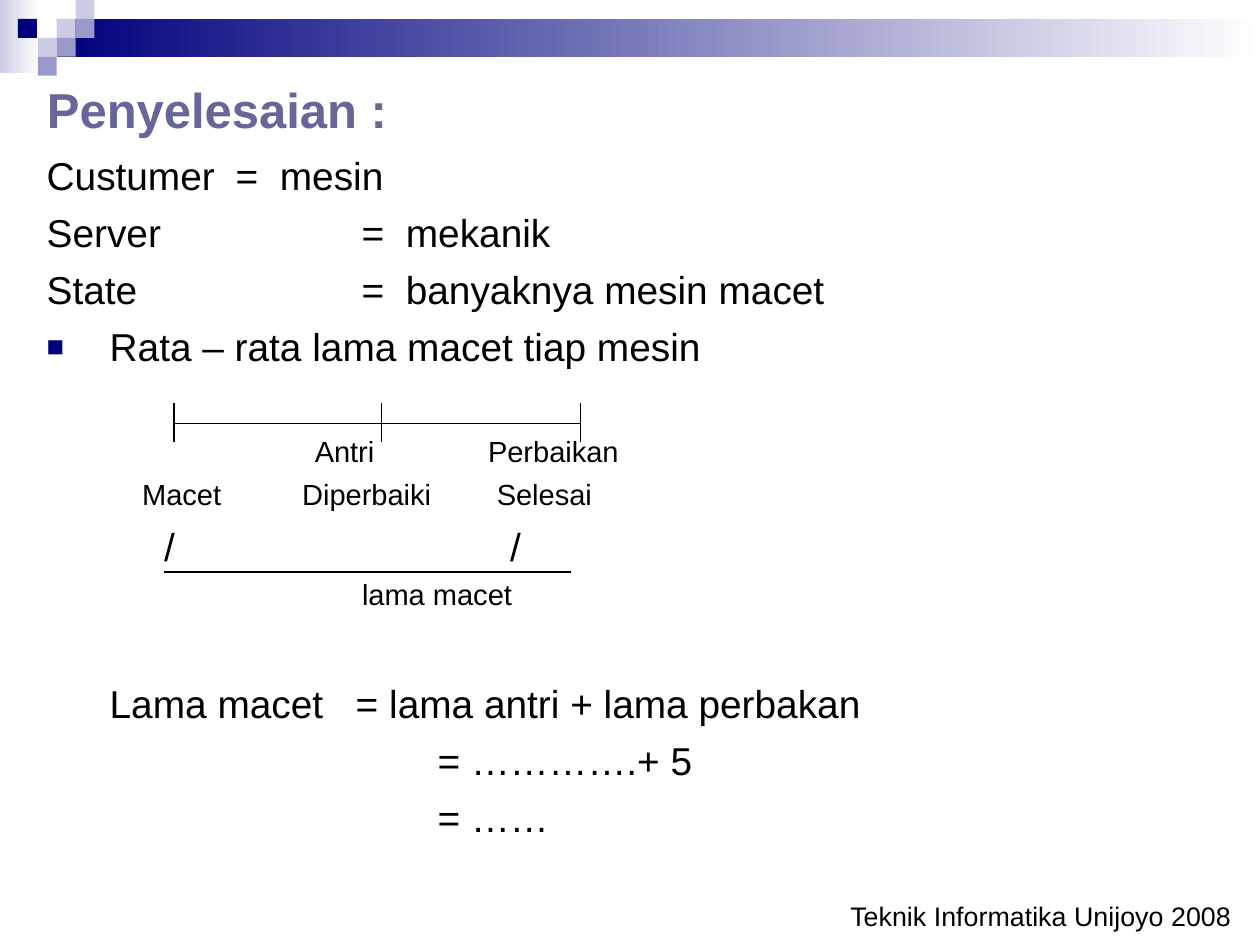
from dataclasses import dataclass

from lxml import etree
from pptx import Presentation
from pptx import util as u
from pptx.dml.color import RGBColor
from pptx.enum import shapes, text
from pptx.oxml.ns import qn


@dataclass(frozen=True)
class Theme:
    font: str = "Arial"
    ink: str = "000000"
    heading: str = "666699"
    navy: str = "00007D"
    violet: str = "9999CC"
    lilac: str = "CCCCE6"
    paper: str = "FFFFFF"
    title_size: float = 28
    body_size: float = 22.2
    label_size: float = 16.6
    footer_size: float = 15.3
    line_width: float = 0.74
    gap: float = 6


THEME = Theme()
COLUMNS, ROWS = 200, 150
UNIT = u.Inches(10) // COLUMNS


def grid(*lengths):
    """Turn grid columns or rows into slide lengths."""
    return [u.Emu(round(length * UNIT)) for length in lengths]


def write(paragraph, content, size=THEME.body_size, color=THEME.ink, bold=False,
          before=0, align=text.PP_ALIGN.LEFT, indent=0, bullet=None):
    """Fill a paragraph; indent is in grid columns, and hangs with a bullet."""
    run = paragraph.add_run()
    run.text = content
    run.font.name, run.font.size, run.font.bold = THEME.font, u.Pt(size), bold
    run.font.color.rgb = RGBColor.from_string(color)
    paragraph.alignment = align
    paragraph.space_before = u.Pt(before)
    properties = paragraph._p.get_or_add_pPr()
    margin = grid(indent)[0]
    properties.set("marL", str(margin))
    properties.set("indent", str(-margin if bullet else 0))
    if bullet:
        bullet_color = etree.SubElement(properties, qn("a:buClr"))
        etree.SubElement(bullet_color, qn("a:srgbClr"), val=THEME.navy)
        etree.SubElement(properties, qn("a:buSzPct"), val="75000")
        etree.SubElement(properties, qn("a:buFont"), typeface=THEME.font)
        etree.SubElement(properties, qn("a:buChar"), char=bullet)


class SlideBuilder:
    def __init__(self, presentation, theme):
        self.theme = theme
        self.slide = presentation.slides.add_slide(presentation.slide_layouts[5])

    def title(self, content, left, top, width, height):
        shape = self.slide.shapes.title
        shape.left, shape.top, shape.width, shape.height = grid(left, top, width, height)
        shape.text_frame.vertical_anchor = text.MSO_ANCHOR.MIDDLE
        shape.text_frame.auto_size = text.MSO_AUTO_SIZE.NONE
        write(shape.text_frame.paragraphs[0], content, self.theme.title_size,
              color=self.theme.heading, bold=True)

    def block(self, left, top, width, height, color, fade_to=None):
        shape = self.slide.shapes.add_shape(
            shapes.MSO_SHAPE.RECTANGLE, *grid(left, top, width, height))
        shape.shadow.inherit = False
        shape.line.fill.background()
        if fade_to:
            shape.fill.gradient()
            shape.fill.gradient_angle = 0
            for stop, stop_color in zip(shape.fill.gradient_stops, (color, fade_to)):
                stop.color.rgb = RGBColor.from_string(stop_color)
        else:
            shape.fill.solid()
            shape.fill.fore_color.rgb = RGBColor.from_string(color)

    def text_box(self, left, top, width, height, *lines):
        """Each line is a pair of its wording and its format."""
        frame = self.slide.shapes.add_textbox(*grid(left, top, width, height)).text_frame
        frame.word_wrap = True
        for index, (content, style) in enumerate(lines):
            paragraph = frame.add_paragraph() if index else frame.paragraphs[0]
            write(paragraph, content, before=self.theme.gap if index else 0, **style)

    def line(self, x1, y1, x2, y2):
        connector = self.slide.shapes.add_connector(
            shapes.MSO_CONNECTOR.STRAIGHT, *grid(x1, y1, x2, y2))
        connector.line.color.rgb = RGBColor.from_string(self.theme.ink)
        connector.line.width = u.Pt(self.theme.line_width)
        etree.SubElement(connector._element.spPr, qn("a:effectLst"))


presentation = Presentation()
presentation.slide_width, presentation.slide_height = grid(COLUMNS, ROWS)
builder = SlideBuilder(presentation, THEME)

# Header band and mosaic of small squares
builder.block(0, 0, 6.2, 11.6, THEME.lilac, fade_to=THEME.paper)
builder.block(9, 3, 191, 6, THEME.navy, fade_to=THEME.paper)
SQUARE = 3
mosaic = [(3, 1, THEME.lilac), (4, 0, THEME.lilac), (4, 1, THEME.violet),
          (2, 2, THEME.lilac), (0.95, 1, THEME.navy), (3, 2, THEME.violet),
          (2, 3, THEME.violet)]
for column, row, color in mosaic:
    builder.block(column * SQUARE, row * SQUARE, SQUARE, SQUARE, color)

# Title and footer
builder.title("Penyelesaian :", 5.45, 11.6, 180, 11.4)
builder.text_box(57.4, 141.8, 140, 7.2, (
    "Teknik Informatika Unijoyo 2008",
    dict(size=THEME.footer_size, align=text.PP_ALIGN.RIGHT)))

# Terms and their meanings
builder.text_box(5.45, 23.1, 120, 38,
                 ("Custumer", {}), ("Server", {}), ("State", {}),
                 ("Rata – rata lama macet tiap mesin", dict(indent=10, bullet="■")))
builder.text_box(35.45, 23.1, 130, 29,
                 ("=  mesin", {}),
                 ("=  mekanik", dict(indent=20)),
                 ("=  banyaknya mesin macet", dict(indent=20)))

# Timeline with its ticks, and the span of the downtime
START, REPAIR, END = 27.6, 60.6, 92.2
builder.line(START, 67.2, END, 67.2)
for tick in (START, REPAIR, END):
    builder.line(tick, 64, tick, 70.2)
builder.line(26, 90.8, 90.6, 90.8)

# Labels of the timeline
SMALL, LARGE = dict(size=THEME.label_size), {}
labels = [("Antri", 48, 67.9, SMALL), ("Perbaikan", 75.5, 67.9, SMALL),
          ("Macet", 20.6, 74.7, SMALL), ("Diperbaiki", 46, 74.7, SMALL),
          ("Selesai", 76.9, 74.7, SMALL),
          ("/", 24.1, 82, LARGE), ("/", 79, 82, LARGE),
          ("lama macet", 55.5, 90.6, SMALL)]
for content, left, top, style in labels:
    builder.text_box(left, top, 30, 8, (content, style))

# Formula for the downtime
builder.text_box(15.45, 106.9, 40, 9, ("Lama macet", {}))
builder.text_box(54.5, 106.9, 100, 29,
                 ("= lama antri + lama perbakan", {}),
                 ("= ………….+ 5", dict(indent=13)),
                 ("= ……", dict(indent=13)))

presentation.save("out.pptx")
